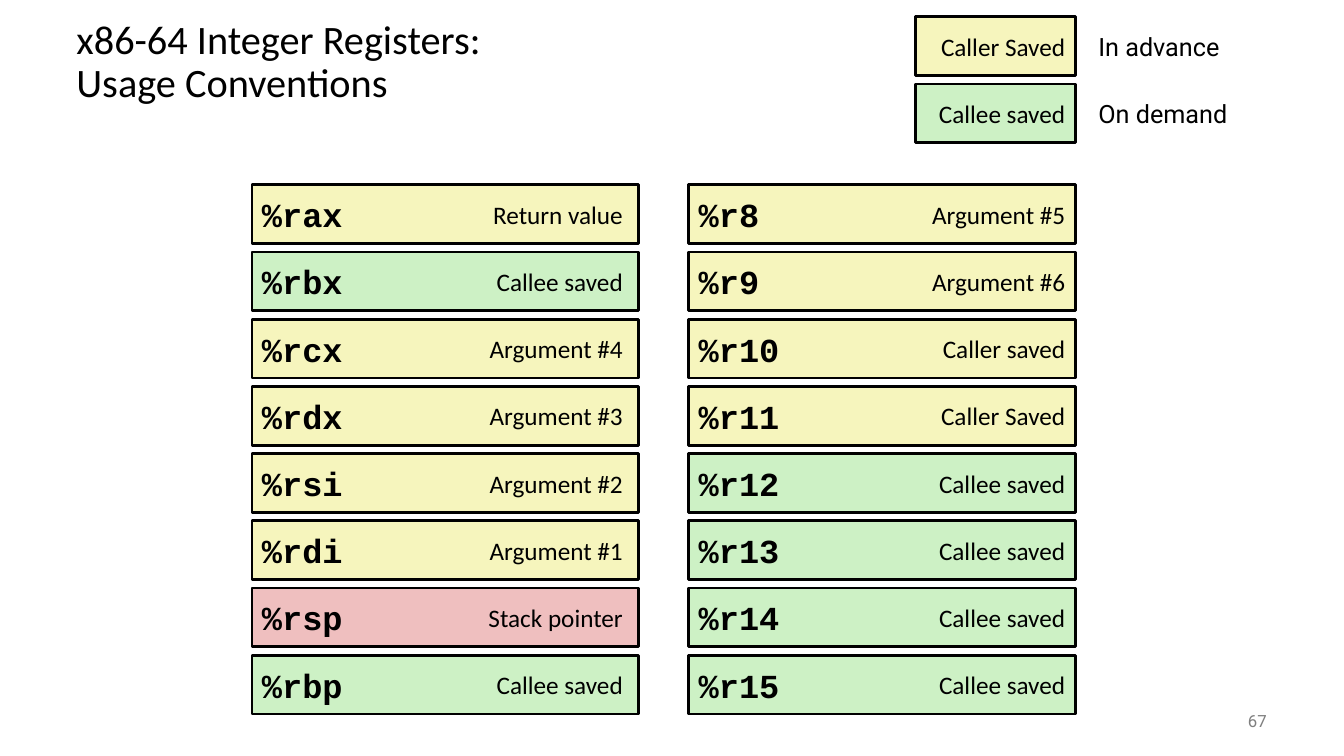
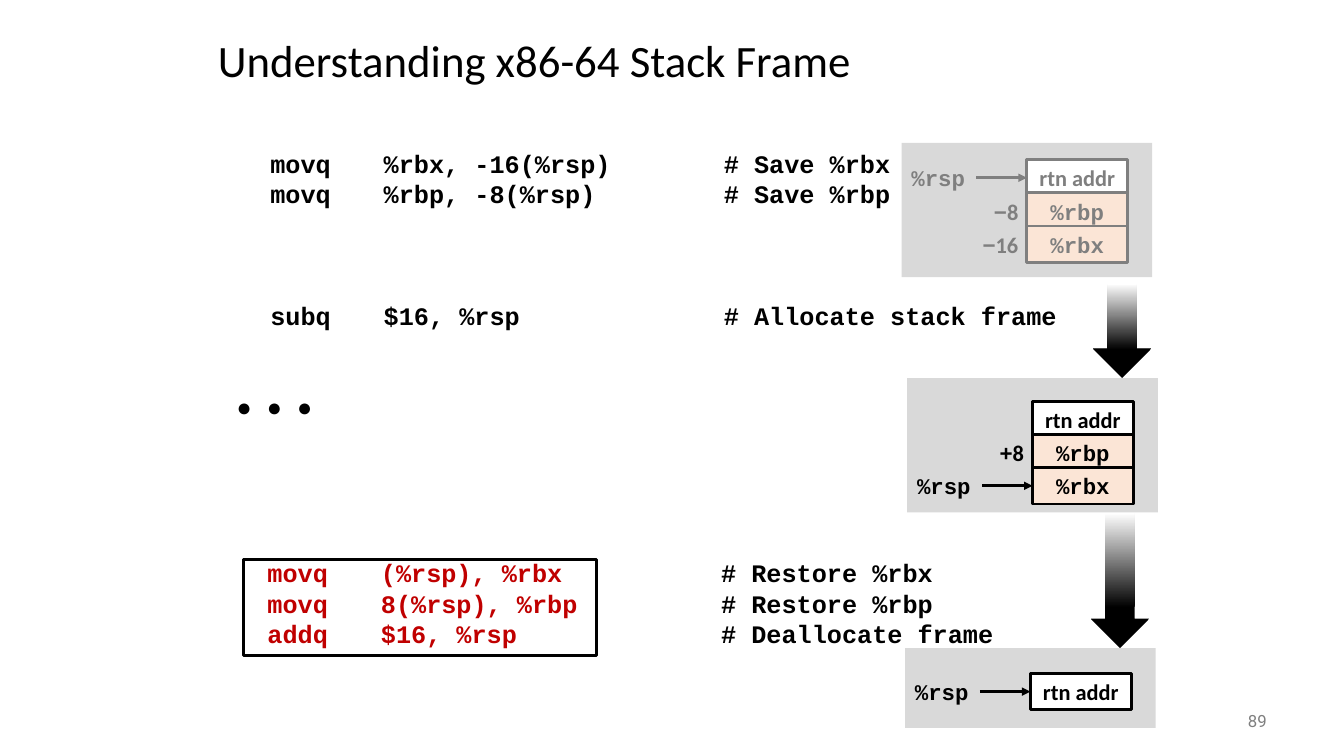
import pptx
import pptx.dml.color
import pptx.enum.shapes
import pptx.enum.text
import pptx.oxml.ns
import pptx.util

Pt = pptx.util.Pt
SHAPE = pptx.enum.shapes.MSO_SHAPE
ALIGN = pptx.enum.text.PP_ALIGN
ANCHOR = pptx.enum.text.MSO_ANCHOR

BLACK, GRAY, RED = "000000", "7F7F7F", "C00000"
WHITE, PANEL, PEACH = "FFFFFF", "D9D9D9", "FBE5D6"
YELLOW, GREEN, PINK = "F6F5BD", "CDF1C5", "EFBFBF"
ROLE_FILLS = {"Callee saved": GREEN, "Stack pointer": PINK}

SANS, MONO, NOTE = "Calibri", "Courier New", "Roboto"
CODE_LINE = 21.8
CODE_TABS = (36, 117, 360)

LEFT_REGISTERS = [
    ("%rax", "Return value"),
    ("%rbx", "Callee saved"),
    ("%rcx", "Argument #4"),
    ("%rdx", "Argument #3"),
    ("%rsi", "Argument #2"),
    ("%rdi", "Argument #1"),
    ("%rsp", "Stack pointer"),
    ("%rbp", "Callee saved"),
]
RIGHT_REGISTERS = [
    ("%r8", "Argument #5"),
    ("%r9", "Argument #6"),
    ("%r10", "Caller saved"),
    ("%r11", "Caller Saved"),
    ("%r12", "Callee saved"),
    ("%r13", "Callee saved"),
    ("%r14", "Callee saved"),
    ("%r15", "Callee saved"),
]


def rgb(value):
    return pptx.dml.color.RGBColor.from_string(value)


def set_values(target, values):
    for name, value in values.items():
        setattr(target, name, value)


def add_element(parent, tag, **attributes):
    child = parent.makeelement(pptx.oxml.ns.qn(tag), attributes)
    parent.append(child)
    return child


class Deck:
    """Holds the style, the presentation and the current slide."""

    def __init__(self):
        self.presentation = pptx.Presentation()
        set_values(self.presentation,
                   {"slide_width": Pt(960), "slide_height": Pt(540)})

    def start_slide(self, title, number, title_box, title_size):
        layout = self.presentation.slide_layouts[6]
        self.slide = self.presentation.slides.add_slide(layout)
        frame = self.text(title_box, title, size=title_size)
        frame.paragraphs[0].line_spacing = 0.9
        self.text((840, 500, 72, 29), str(number), align=ALIGN.RIGHT,
                  font=NOTE, size=12, color=GRAY)

    def add_runs(self, paragraph, runs, font=SANS, size=18, color=BLACK,
                 bold=False, align=ALIGN.LEFT):
        """Fill a paragraph from (text, font changes) pairs."""
        paragraph.alignment = align
        for text, changes in runs:
            for index, line in enumerate(text.split("\n")):
                if index:
                    paragraph.add_line_break()
                run = paragraph.add_run()
                run.text = line
                set_values(run.font, {"name": changes.get("font", font),
                                      "size": Pt(size), "bold": bold})
                run.font.color.rgb = rgb(changes.get("color", color))

    def text(self, box, content, inset=7.2, **style):
        """Add one vertically centred paragraph: a string or runs."""
        shape = self.slide.shapes.add_textbox(*map(Pt, box))
        return self.label(shape, content, inset, **style)

    def label(self, shape, content, inset=7.2, **style):
        frame = shape.text_frame
        set_values(frame, {"word_wrap": True,
                           "vertical_anchor": ANCHOR.MIDDLE,
                           "margin_left": Pt(inset),
                           "margin_right": Pt(inset)})
        runs = [(content, {})] if isinstance(content, str) else content
        self.add_runs(frame.paragraphs[0], runs, **style)
        return frame

    def shape(self, box, fill=None, line=None, kind=SHAPE.RECTANGLE):
        shape = self.slide.shapes.add_shape(kind, *map(Pt, box))
        shape.shadow.inherit = False
        if fill:
            shape.fill.solid()
            shape.fill.fore_color.rgb = rgb(fill)
        else:
            shape.fill.background()
        if line:
            shape.line.color.rgb = rgb(line)
            shape.line.width = Pt(2)
        else:
            shape.line.fill.background()
        return shape

    def fading_arrow(self, box):
        """Add a block arrow that darkens downwards."""
        arrow = self.shape(box, kind=SHAPE.DOWN_ARROW)
        arrow.fill.gradient()
        arrow.fill.gradient_angle = 90
        stops = zip(arrow.fill.gradient_stops, ((0.3, BLACK), (1, WHITE)))
        for stop, (position, color) in stops:
            stop.position = position
            stop.color.rgb = rgb(color)

    def pointer(self, left, right, y, color):
        connector = self.slide.shapes.add_connector(
            pptx.enum.shapes.MSO_CONNECTOR.STRAIGHT,
            Pt(left), Pt(y), Pt(right), Pt(y))
        connector.line.color.rgb = rgb(color)
        connector.line.width = Pt(2)
        properties = connector._element.spPr
        outline = properties.find(pptx.oxml.ns.qn("a:ln"))
        add_element(outline, "a:tailEnd", type="triangle")
        add_element(properties, "a:effectLst")

    def code(self, box, lines):
        """Add tabbed code; a line is (blank lines before it, runs)."""
        frame = self.slide.shapes.add_textbox(*map(Pt, box)).text_frame
        frame.word_wrap = True
        for index, (gap, runs) in enumerate(lines):
            paragraph = frame.add_paragraph() if index else frame.paragraphs[0]
            properties = paragraph._p.get_or_add_pPr()
            tabs = add_element(properties, "a:tabLst")
            for position in CODE_TABS:
                add_element(tabs, "a:tab", pos=str(Pt(position)), algn="l")
            paragraph.line_spacing = Pt(CODE_LINE)
            if gap:
                paragraph.space_before = Pt(gap * CODE_LINE)
            self.add_runs(paragraph, runs, font=MONO, bold=True)

    def registers(self, left, label_right, rows):
        top, pitch, height = 132, 48, 42
        for index, (name, role) in enumerate(rows):
            y = top + index * pitch
            bar = self.shape((left, y, 276, height),
                             ROLE_FILLS.get(role, YELLOW), BLACK)
            self.label(bar, name, font=MONO, size=24, bold=True)
            self.text((label_right - 120, y, 120, height), role,
                      align=ALIGN.RIGHT)

    def stack(self, panel, cells_top, cells, pointer_row, offsets,
              color=BLACK):
        """Add a stack drawing; offsets maps a row to (sign, number)."""
        self.shape(panel, PANEL)
        left, height, pitch = panel[0], 26, 23.75
        cell_left = left + 89.5
        for row, name in enumerate(cells):
            is_register = name.startswith("%")
            cell = self.shape((cell_left, cells_top + row * pitch, 72, height),
                              PEACH if is_register else WHITE, color)
            self.label(cell, name, inset=2, size=16, color=color, bold=True,
                       font=MONO if is_register else SANS, align=ALIGN.CENTER)
        y = cells_top + pointer_row * pitch
        self.text((left, y, 58, height), "%rsp", font=MONO, size=16,
                  color=color, bold=True)
        self.pointer(left + 53.5, cell_left, y + height / 2, color)
        for row, (sign, number) in offsets.items():
            self.text((left + 29.5, cells_top + row * pitch, 57.5, height),
                      [(sign, {"font": "Arial"}), (number, {})], inset=3.6,
                      size=16, color=color, bold=True, align=ALIGN.RIGHT)


def build_registers(deck):
    deck.start_slide("x86-64 Integer Registers:\nUsage Conventions", 67,
                     (47.5, 18, 864, 54), 28.8)
    deck.registers(180, 452, LEFT_REGISTERS)
    deck.registers(492, 768, RIGHT_REGISTERS)
    legend = [("Caller Saved", "In advance"), ("Callee saved", "On demand")]
    for index, (role, note) in enumerate(legend):
        y = 12 + index * 48
        key = deck.shape((654, y, 114, 42), ROLE_FILLS.get(role, YELLOW), BLACK)
        deck.label(key, role, align=ALIGN.RIGHT)
        deck.text((777.5, y, 114, 42), note, font=NOTE)


def build_stack_frame(deck):
    deck.start_slide("Understanding x86-64 Stack Frame", 89,
                     (148.5, 15, 598, 60), 32)
    deck.code((150, 102, 678, 138), [
        (0, [("\tmovq\t%rbx, -16(%rsp)\t# Save %rbx", {})]),
        (0, [("\tmovq\t%rbp, -8(%rsp)\t# Save %rbp", {})]),
        (3, [("\tsubq\t$16, %rsp\t# Allocate stack frame", {})]),
    ])
    restore = [
        ("movq\t(%rsp), %rbx", "Restore %rbx"),
        ("movq\t8(%rsp), %rbp", "Restore %rbp"),
        ("addq\t$16, %rsp", "Deallocate frame"),
    ]
    deck.code((148, 394.5, 678, 73), [
        (0, [("\t", {}), (command, {"color": RED}), ("\t# " + remark, {})])
        for command, remark in restore
    ])
    deck.text((162, 276, 77, 29), "● ● ●", font=MONO, bold=True)
    cells = ["rtn addr", "%rbp", "%rbx"]
    deck.stack((648, 270, 179, 96), 286.5, cells, 2, {1: ("+", "8")})
    deck.stack((644, 102, 179, 96), 114, cells, 0,
               {1: ("−", "8"), 2: ("−", "16")}, GRAY)
    deck.stack((646.5, 463, 179, 57), 481, cells[:1], 0, {})
    deck.fading_arrow((780.5, 202.5, 42, 67.5))
    deck.fading_arrow((779, 366.5, 42, 96.5))
    deck.shape((174, 399.5, 252, 68.5), line=BLACK)


def main():
    deck = Deck()
    build_registers(deck)
    build_stack_frame(deck)
    deck.presentation.save("out.pptx")


if __name__ == "__main__":
    main()
